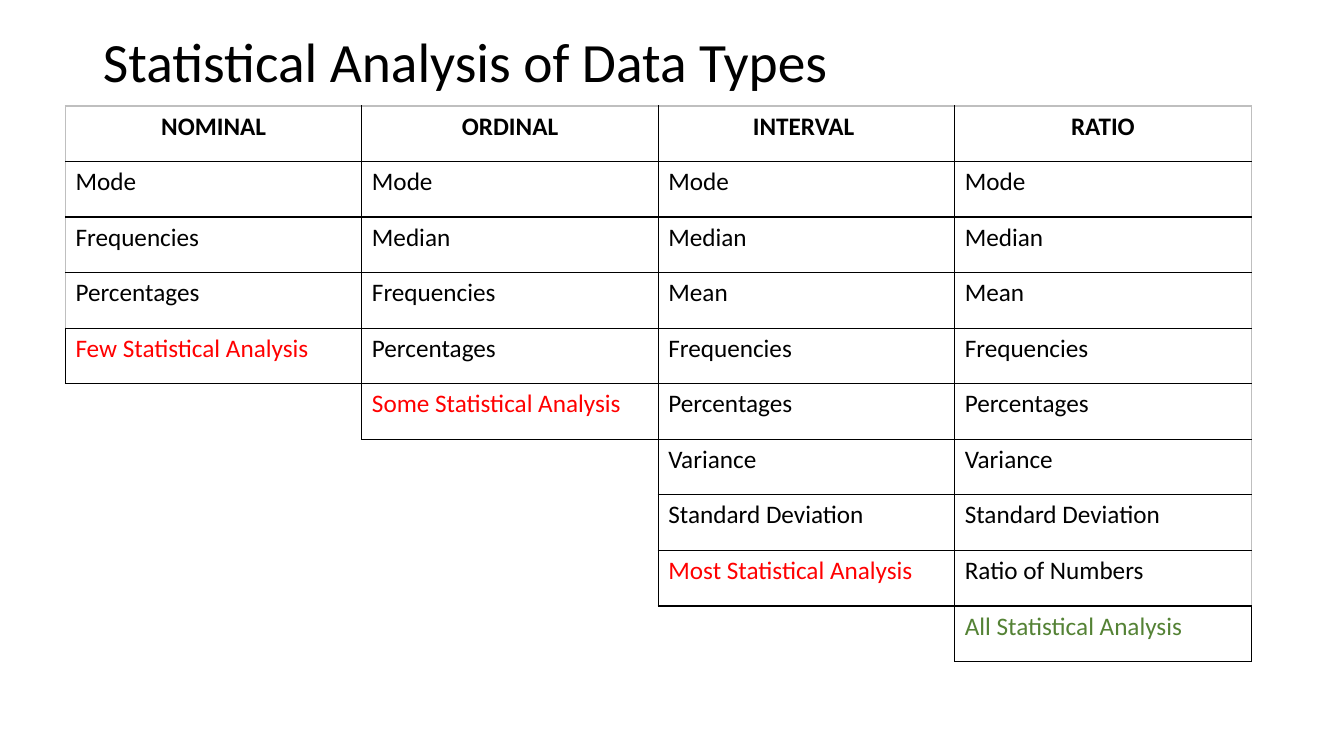
from lxml.etree import SubElement
from pptx import Presentation
from pptx.dml.color import RGBColor
from pptx.enum.text import MSO_ANCHOR as Anchor, MSO_AUTO_SIZE as AutoSize, PP_ALIGN as Align
from pptx.oxml.ns import qn
from pptx.util import Cm, Pt

BLACK = RGBColor(0x00, 0x00, 0x00)
GREY = RGBColor(0xBF, 0xBF, 0xBF)
RED = RGBColor(0xFF, 0x00, 0x00)
GREEN = RGBColor(0x54, 0x82, 0x35)
FONT = "Calibri"

DATA_TYPES = [
    ("NOMINAL", ["Mode", "Frequencies", "Percentages"],
     "Few Statistical Analysis", RED),
    ("ORDINAL", ["Mode", "Median", "Frequencies", "Percentages"],
     "Some Statistical Analysis", RED),
    ("INTERVAL ", ["Mode", "Median", "Mean", "Frequencies", "Percentages",
                   "Variance", "Standard Deviation"],
     "Most Statistical Analysis", RED),
    ("RATIO", ["Mode", "Median", "Mean", "Frequencies", "Percentages",
               "Variance", "Standard Deviation", "Ratio of Numbers"],
     "All Statistical Analysis", GREEN),
]
LENGTHS = [len(measures) + 2 for _, measures, _, _ in DATA_TYPES]
NEIGHBOURS = {"a:lnL": (0, -1), "a:lnR": (0, 1), "a:lnT": (-1, 0), "a:lnB": (1, 0)}


def style_text(para, size, color=BLACK, bold=False):
    """Set the font of a whole paragraph."""
    font = para.font
    font.name, font.size, font.bold = FONT, Pt(size), bold
    font.color.rgb = color


def edge_color(row, column, step):
    """Return the colour of one cell edge, or None where it is open."""
    next_row, next_column = row + step[0], column + step[1]
    inside = 0 <= next_row < max(LENGTHS) and 0 <= next_column < len(LENGTHS)
    used = row < LENGTHS[column]
    if inside:
        return BLACK if used or next_row < LENGTHS[next_column] else None
    if not used:
        return None
    return BLACK if row == LENGTHS[column] - 1 else GREY


def draw_borders(cell, row, column):
    """Draw the four edges of a table cell and clear its fill."""
    properties = cell._tc.get_or_add_tcPr()
    for tag, step in NEIGHBOURS.items():
        color = edge_color(row, column, step)
        line = SubElement(properties, qn(tag), w=str(Pt(1)))
        if color is None:
            SubElement(line, qn("a:noFill"))
        else:
            fill = SubElement(line, qn("a:solidFill"))
            SubElement(fill, qn("a:srgbClr"), val=str(color))
    cell.fill.background()


def add_title(page, left, top, width, height):
    """Place and format the slide title."""
    title = page.shapes.title
    title.left, title.top, title.width, title.height = left, top, width, height
    frame = title.text_frame
    frame.text = "Statistical Analysis of Data Types"
    frame.auto_size = AutoSize.NONE
    frame.vertical_anchor = Anchor.MIDDLE
    para = frame.paragraphs[0]
    para.alignment = Align.LEFT
    para.line_spacing = 0.9
    style_text(para, 39.6)


def add_analysis_table(page, left, top, width, height):
    """Place the stepped table of analyses for each data type."""
    rows, columns = max(LENGTHS), len(DATA_TYPES)
    table = page.shapes.add_table(rows, columns, left, top, width, height).table
    table.first_row = table.horz_banding = False
    for column, (heading, measures, summary, color) in enumerate(DATA_TYPES):
        texts = [heading, *measures, summary]
        for row in range(rows):
            cell = table.cell(row, column)
            draw_borders(cell, row, column)
            if row < len(texts):
                cell.text = texts[row]
                para = cell.text_frame.paragraphs[0]
                para.alignment = Align.CENTER if row == 0 else Align.LEFT
                is_summary = row == len(texts) - 1
                style_text(para, 18, color if is_summary else BLACK, row == 0)


def main():
    """Build the deck and save it."""
    deck = Presentation()
    deck.slide_width, deck.slide_height = Cm(33.87), Cm(19.05)
    page = deck.slides.add_slide(deck.slide_layouts[5])
    add_title(page, Cm(2.34), Cm(1.02), Cm(21.9), Cm(1.2))
    add_analysis_table(page, Cm(1.65), Cm(2.67), Cm(29.88), Cm(14))
    deck.save("out.pptx")


if __name__ == "__main__":
    main()
